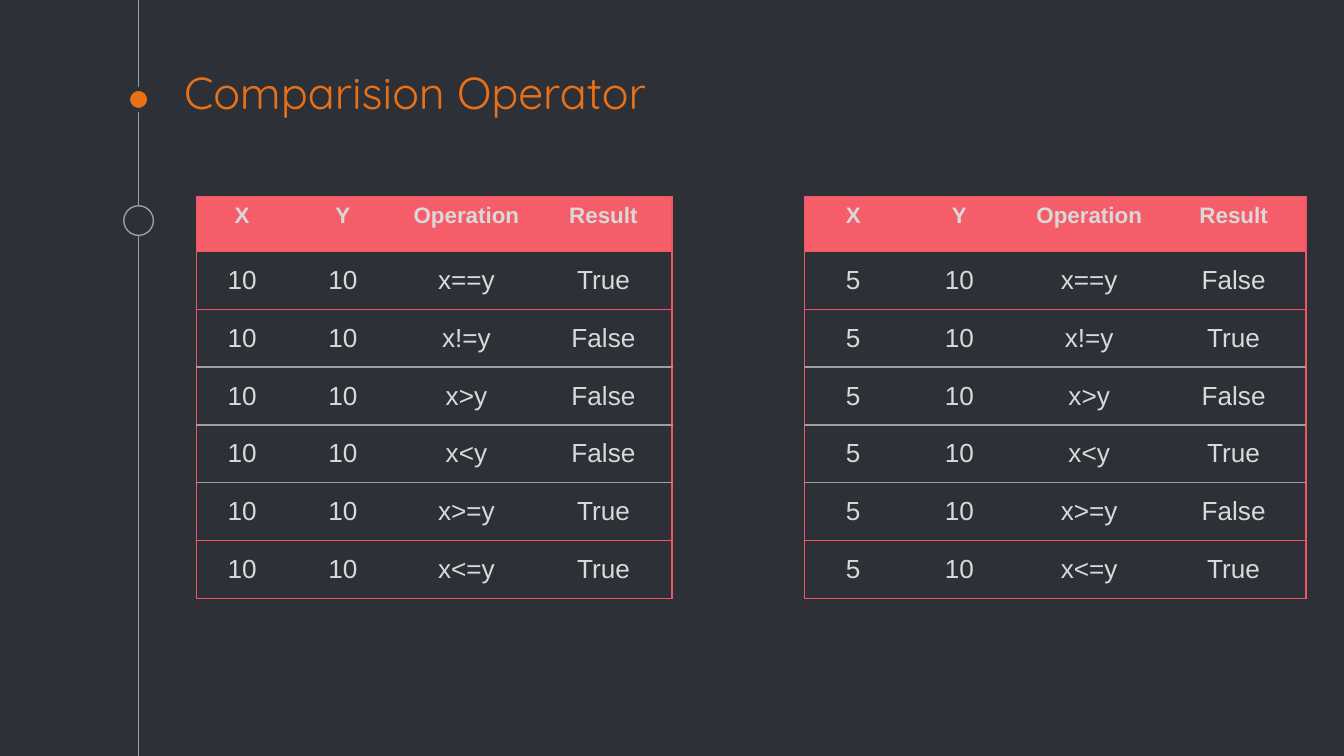
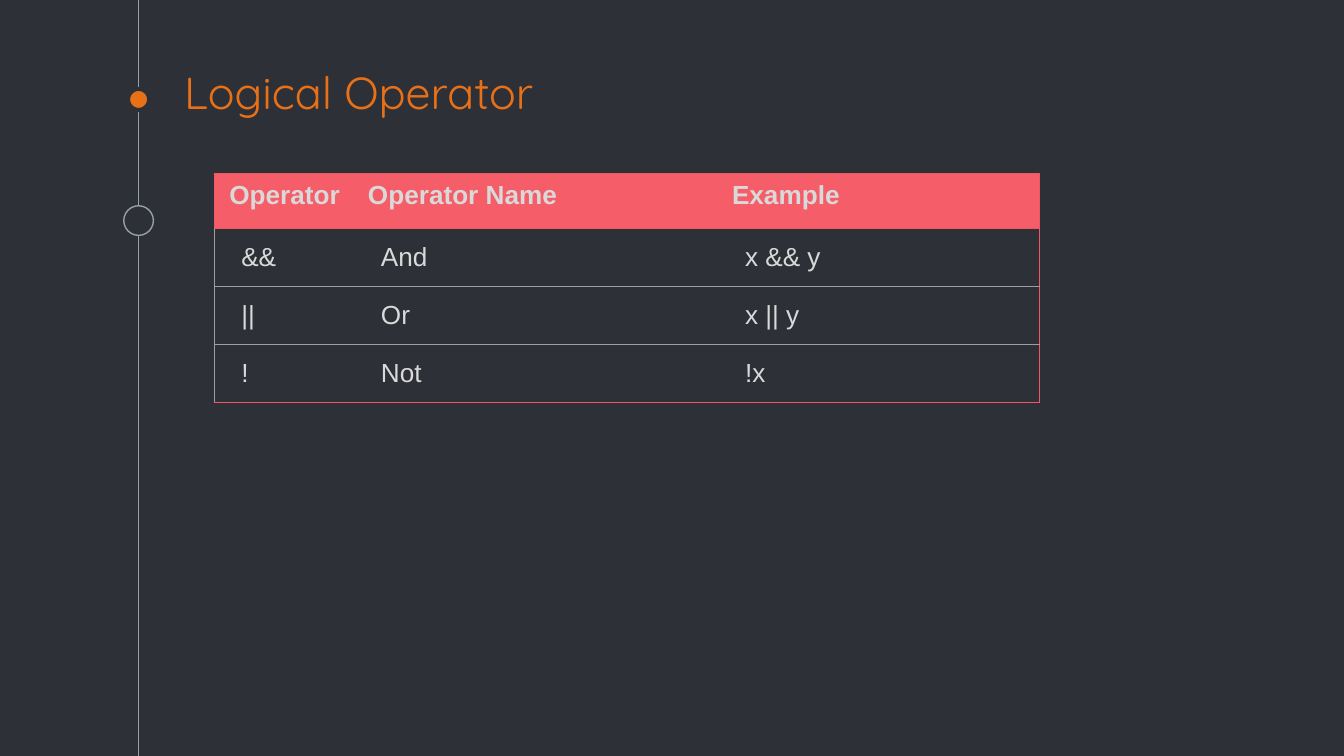
"""Build two slides of operator tables beside a vertical timeline."""
from dataclasses import dataclass

from lxml import etree
from pptx import Presentation
from pptx import util as u
from pptx.dml.color import RGBColor
from pptx.enum import shapes, text
from pptx.oxml.ns import qn


@dataclass(frozen=True)
class Theme:
    background: str = "2E3037"
    accent: str = "E87118"
    timeline: str = "999FA9"
    header: str = "F55D69"
    border: str = "F15564"
    rule: str = "9E9E9E"
    body: str = "D9D9D9"
    title_font: str = "Quicksand"
    body_font: str = "Arial"
    title_size: int = 24
    body_size: int = 14
    small_header_size: int = 12


theme = Theme()
rgb = RGBColor.from_string
center, left = text.PP_ALIGN.CENTER, text.PP_ALIGN.LEFT
NO_STYLE = "{2D5ABB26-0587-4C30-8999-92F81FD0307C}"
ROW_HEIGHT = 1.04
TIMELINE_X = 2.62


def style_text(paragraph, font_name, size, color, bold=False):
    for run in paragraph.runs:
        run.font.name = font_name
        run.font.size = u.Pt(size)
        run.font.color.rgb = rgb(color)
        run.font.bold = bold


def set_border(cell, side, color):
    properties = cell._tc.get_or_add_tcPr()
    line = etree.Element(qn(f"a:{side}"), w=str(u.Pt(0.75)))
    if color:
        fill = etree.SubElement(line, qn("a:solidFill"))
        etree.SubElement(fill, qn("a:srgbClr"), val=color)
    else:
        etree.SubElement(line, qn("a:noFill"))
    properties.insert(["lnL", "lnR", "lnT", "lnB"].index(side), line)


comparisons = ["x==y", "x!=y", "x>y", "x<y", "x>=y", "x<=y"]
comparison_tables = []
for x, table_left, widths, results in [
    ("10", 3.71, [1.73, 2.08, 2.59, 2.59], ["True", "False", "False", "False", "True", "True"]),
    ("5", 15.21, [1.83, 2.18, 2.73, 2.73], ["False", "True", "False", "True", "False", "True"]),
]:
    rows = [[x, "10", operation, result] for operation, result in zip(comparisons, results)]
    comparison_tables.append({
        "left": table_left, "top": 3.71, "widths": widths,
        "rows": [["X", "Y", "Operation", "Result"]] + rows,
        "header_size": theme.small_header_size,
        "header_align": [center] * 4, "body_align": center,
        "left_border": theme.border, "red_rules": {0, 1, 5, 6},
    })

logical_table = {
    "left": 4.06, "top": 3.28, "widths": [2.64, 6.88, 6.07],
    "rows": [
        ["Operator", "Operator Name", "Example"],
        ["&&", "And", "x && y"],
        ["||", "Or", "x || y"],
        ["!", "Not", "!x"],
    ],
    "header_size": theme.body_size,
    "header_align": [center, left, left], "body_align": left,
    "left_border": theme.rule, "red_rules": {0, 3},
}

presentation = Presentation()
presentation.slide_width, presentation.slide_height = u.Cm(25.4), u.Cm(14.29)
master_fill = presentation.slide_master.background.fill
master_fill.solid()
master_fill.fore_color.rgb = rgb(theme.background)

for title, tables in [
    ("Comparision Operator", comparison_tables),
    ("Logical Operator", [logical_table]),
]:
    slide = presentation.slides.add_slide(presentation.slide_layouts[6])

    timeline = slide.shapes.add_connector(
        shapes.MSO_CONNECTOR.STRAIGHT,
        u.Cm(TIMELINE_X), 0, u.Cm(TIMELINE_X), presentation.slide_height)
    timeline.line.color.rgb = rgb(theme.timeline)
    timeline.line.width = u.Pt(0.75)
    etree.SubElement(timeline._element.spPr, qn("a:effectLst"))

    for center_y, diameter, fill_color, line_color, line_width in [
        (1.88, 0.4, theme.accent, theme.background, 2.25),
        (4.17, 0.56, theme.background, theme.timeline, 0.75),
    ]:
        marker = slide.shapes.add_shape(
            shapes.MSO_SHAPE.OVAL,
            u.Cm(TIMELINE_X - diameter / 2), u.Cm(center_y - diameter / 2),
            u.Cm(diameter), u.Cm(diameter))
        marker.shadow.inherit = False
        marker.fill.solid()
        marker.fill.fore_color.rgb = rgb(fill_color)
        marker.line.color.rgb = rgb(line_color)
        marker.line.width = u.Pt(line_width)

    title_box = slide.shapes.add_textbox(u.Cm(3.23), u.Cm(1.52), u.Cm(21.97), u.Cm(0.97))
    title_frame = title_box.text_frame
    title_frame.word_wrap = True
    title_frame.vertical_anchor = text.MSO_ANCHOR.BOTTOM
    title_frame.margin_left = title_frame.margin_right = u.Cm(0.25)
    title_frame.margin_top = title_frame.margin_bottom = u.Cm(0.25)
    title_frame.text = title
    style_text(title_frame.paragraphs[0], theme.title_font, theme.title_size, theme.accent)

    for content in tables:
        rows, widths = content["rows"], content["widths"]
        table = slide.shapes.add_table(
            len(rows), len(widths), u.Cm(content["left"]), u.Cm(content["top"]),
            u.Cm(sum(widths)), u.Cm(ROW_HEIGHT * len(rows))).table
        table._tbl.tblPr.find(qn("a:tableStyleId")).text = NO_STYLE
        table.horz_banding = False
        for column, width in zip(table.columns, widths):
            column.width = u.Cm(width)

        rules = [theme.border if index in content["red_rules"] else theme.rule
                 for index in range(len(rows))]
        for row_index, row in enumerate(rows):
            table.rows[row_index].height = u.Cm(ROW_HEIGHT)
            is_header = row_index == 0
            for column_index, value in enumerate(row):
                cell = table.cell(row_index, column_index)
                cell.text_frame.text = value
                paragraph = cell.text_frame.paragraphs[0]
                if is_header:
                    cell.fill.solid()
                    cell.fill.fore_color.rgb = rgb(theme.header)
                    paragraph.alignment = content["header_align"][column_index]
                    size = content["header_size"]
                else:
                    cell.fill.background()
                    cell.vertical_anchor = text.MSO_ANCHOR.MIDDLE
                    cell.margin_left = cell.margin_right = u.Cm(0.5)
                    cell.margin_top = cell.margin_bottom = u.Cm(0.25)
                    paragraph.alignment = content["body_align"]
                    size = theme.body_size
                style_text(paragraph, theme.body_font, size, theme.body, is_header)

                left_color = theme.border if is_header else content["left_border"]
                is_last = column_index == len(row) - 1
                set_border(cell, "lnL", left_color if column_index == 0 else None)
                set_border(cell, "lnR", theme.border if is_last else None)
                set_border(cell, "lnT", theme.border if is_header else rules[row_index - 1])
                set_border(cell, "lnB", rules[row_index])

presentation.save("out.pptx")
